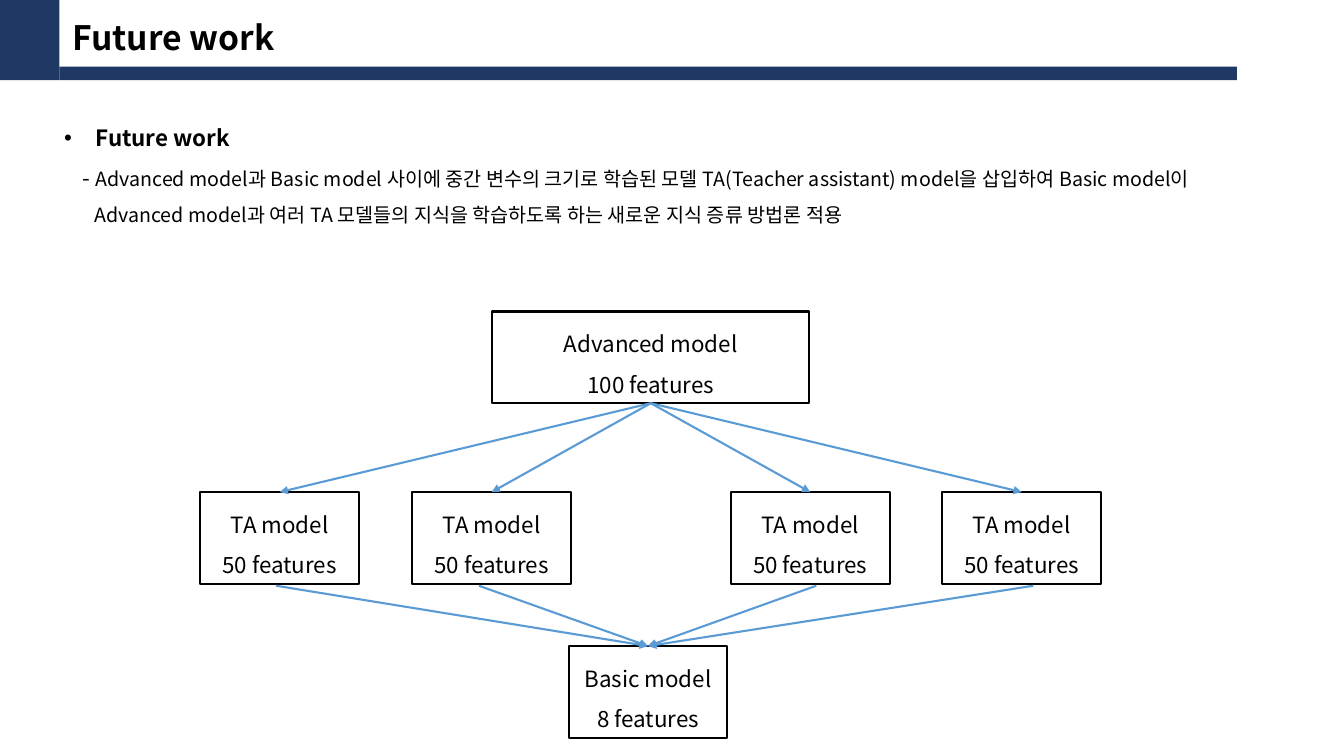
from lxml import etree
from pptx import Presentation
from pptx.dml.color import RGBColor
from pptx.enum.shapes import MSO_CONNECTOR, MSO_SHAPE
from pptx.enum.text import MSO_ANCHOR, PP_ALIGN
from pptx.oxml.ns import qn
from pptx.util import Cm, Pt

NAVY = RGBColor(0x1F, 0x38, 0x64)
BLUE = RGBColor(0x5B, 0x9B, 0xD5)
BLACK = RGBColor(0, 0, 0)
FONT = "Noto Sans CJK KR"
RECTANGLE = MSO_SHAPE.RECTANGLE
STRAIGHT = MSO_CONNECTOR.STRAIGHT
LEFT, CENTER = PP_ALIGN.LEFT, PP_ALIGN.CENTER
TOP, MIDDLE = MSO_ANCHOR.TOP, MSO_ANCHOR.MIDDLE
BOTTOM_SITE, TOP_SITE = 2, 0

TA_TOP, TA_WIDTH, BOX_HEIGHT = 12.4, 4, 2.31
TA_COLUMNS = [(5.05, 6.96), (10.39, 12.07), (18.42, 20.57), (23.75, 26.04)]
TA_EXIT = 14.76


def apply_format(target, values):
    for name, value in values.items():
        setattr(target, name, value)


def add_span(para, text, size, bold=False):
    span = para.add_run()
    span.text = text
    apply_format(span.font, {"name": FONT, "size": Pt(size), "bold": bold})
    span.font.color.rgb = BLACK
    east_asian = etree.SubElement(span.font._element, qn("a:ea"))
    east_asian.set("typeface", FONT)


def set_indent(para, margin, hanging=0, bullet=None):
    properties = para._p.get_or_add_pPr()
    properties.set("marL", str(Cm(margin)))
    properties.set("indent", str(-Cm(hanging)))
    if bullet:
        etree.SubElement(properties, qn("a:buFont")).set("typeface", "Arial")
        etree.SubElement(properties, qn("a:buChar")).set("char", bullet)


def add_bar(page, *frame):
    bar = page.shapes.add_shape(RECTANGLE, *map(Cm, frame))
    bar.shadow.inherit = False
    bar.fill.solid()
    bar.fill.fore_color.rgb = NAVY
    bar.line.fill.background()


def set_title(page, text):
    title = page.shapes.title
    frame = {"left": 1.57, "top": 0.3, "width": 13.87, "height": 1.27}
    apply_format(title, {name: Cm(value) for name, value in frame.items()})
    apply_format(title.text_frame, {"vertical_anchor": TOP, "word_wrap": True})
    para = title.text_frame.paragraphs[0]
    para.alignment = LEFT
    add_span(para, text, 24, True)


def add_body(page):
    box = page.shapes.add_textbox(Cm(1.37), Cm(2.67), Cm(31.7), Cm(5.76))
    frame = box.text_frame
    frame.word_wrap = True
    heading = frame.paragraphs[0]
    first, second = frame.add_paragraph(), frame.add_paragraph()
    for para in frame.paragraphs:
        para.line_spacing = 1.5
    set_indent(heading, 0.79, 0.79, "•")
    add_span(heading, "Future work", 16, True)
    set_indent(first, 0.47)
    add_span(first, "- ", 16)
    add_span(first, "Advanced model과 Basic model 사이에 중간 변수의 크기로 학습된 모델 "
             "TA(Teacher assistant) model을 삽입하여 Basic model이", 14)
    set_indent(second, 0.76)
    add_span(second, "Advanced model과 여러 TA 모델들의 지식을 학습하도록 하는 "
             "새로운 지식 증류 방법론 적용", 14)


def add_model(page, left, top, width, name, features):
    box = page.shapes.add_shape(RECTANGLE, Cm(left), Cm(top), Cm(width), Cm(BOX_HEIGHT))
    box.shadow.inherit = False
    box.fill.background()
    box.line.color.rgb = BLACK
    box.line.width = Pt(1.5)
    frame = box.text_frame
    apply_format(frame, {"word_wrap": True, "vertical_anchor": MIDDLE})
    for para, text in ((frame.paragraphs[0], name),
                       (frame.add_paragraph(), f"{features} features")):
        apply_format(para, {"alignment": CENTER, "line_spacing": 1.5})
        add_span(para, text, 16)
    return box


def add_arrow(page, target, source=None, start=(0, 0)):
    x, y = map(Cm, start)
    arrow = page.shapes.add_connector(STRAIGHT, x, y, x, y)
    if source is not None:
        arrow.begin_connect(source, BOTTOM_SITE)
    arrow.end_connect(target, TOP_SITE)
    arrow.line.color.rgb = BLUE
    arrow.line.width = Pt(1.5)
    etree.SubElement(arrow.line._get_or_add_ln(), qn("a:tailEnd")).set("type", "triangle")
    etree.SubElement(arrow._element.spPr, qn("a:effectLst"))


def add_diagram(page):
    advanced = add_model(page, 12.4, 7.85, 8, "Advanced model", 100)
    basic = add_model(page, 14.33, 16.28, TA_WIDTH, "Basic model", 8)
    for left, exit_x in TA_COLUMNS:
        assistant = add_model(page, left, TA_TOP, TA_WIDTH, "TA model", 50)
        add_arrow(page, assistant, source=advanced)
        add_arrow(page, basic, start=(exit_x, TA_EXIT))


def main():
    deck = Presentation()
    deck.slide_width, deck.slide_height = Cm(33.87), Cm(19.05)
    page = deck.slides.add_slide(deck.slide_layouts[5])
    add_bar(page, 0, 0, 1.5, 2.02)
    add_bar(page, 1.5, 1.68, 29.67, 0.34)
    set_title(page, "Future work")
    add_body(page)
    add_diagram(page)
    deck.save("out.pptx")


if __name__ == "__main__":
    main()
